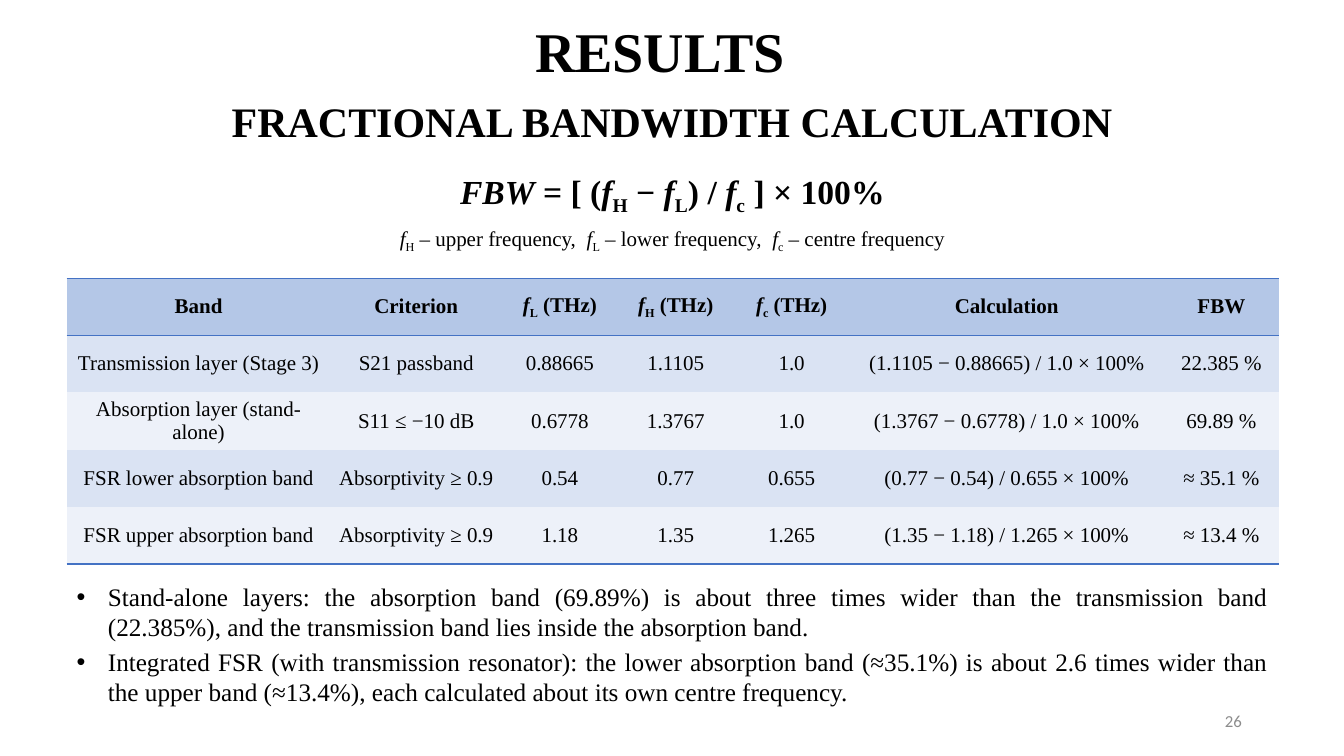
from lxml import etree
from pptx import Presentation
from pptx.dml.color import RGBColor
from pptx.enum.text import MSO_ANCHOR, MSO_AUTO_SIZE, PP_ALIGN
from pptx.oxml.ns import qn
from pptx.util import Cm, Pt

COLORS = {"text": "000000", "number": "8C8C8C", "header": "B4C7E7",
          "odd": "DAE3F3", "even": "EDF1F9", "rule": "4472C4"}
SERIF = "Times New Roman"
NO_STYLE = "{2D5ABB26-0587-4C30-8999-92F81FD0307C}"
LEFT, WIDTH = 1.68, 30.53
COLUMN_WIDTHS = [6.65, 4.32, 2.92, 2.92, 2.92, 7.92, 2.9]
ROW_HEIGHT = 1.44
ROWS = [
    ["Band", "Criterion", "~f_L~ (THz)", "~f_H~ (THz)", "~f_c~ (THz)", "Calculation", "FBW"],
    ["Transmission layer (Stage 3)", "S21 passband", "0.88665", "1.1105", "1.0",
     "(1.1105 − 0.88665) / 1.0 × 100%", "22.385 %"],
    ["Absorption layer (stand-alone)", "S11 ≤ −10 dB", "0.6778", "1.3767", "1.0",
     "(1.3767 − 0.6778) / 1.0 × 100%", "69.89 %"],
    ["FSR lower absorption band", "Absorptivity ≥ 0.9", "0.54", "0.77", "0.655",
     "(0.77 − 0.54) / 0.655 × 100%", "≈ 35.1 %"],
    ["FSR upper absorption band", "Absorptivity ≥ 0.9", "1.18", "1.35", "1.265",
     "(1.35 − 1.18) / 1.265 × 100%", "≈ 13.4 %"],
]
FINDINGS = [
    "Stand-alone layers: the absorption band (69.89%) is about three times wider than the "
    "transmission band (22.385%), and the transmission band lies inside the absorption band.",
    "Integrated FSR (with transmission resonator): the lower absorption band (≈35.1%) is about "
    "2.6 times wider than the upper band (≈13.4%), each calculated about its own centre frequency.",
]


def add_run(paragraph, text, size, bold, italic=False, subscript=False,
            font=SERIF, color="text"):
    """Append one formatted run to a paragraph."""
    run = paragraph.add_run()
    run.text = text
    run.font.name, run.font.size = font, Pt(size)
    run.font.bold, run.font.italic = bold, italic
    run.font.color.rgb = RGBColor.from_string(COLORS[color])
    if subscript:
        run.font._element.set("baseline", "-25000")


def write(paragraph, text, size, bold=False, align=PP_ALIGN.CENTER, **style):
    """Write text in which ~base_sub~ is an italic symbol with a subscript."""
    paragraph.alignment = align
    for index, part in enumerate(text.split("~")):
        is_symbol = index % 2 == 1
        base, _, sub = part.partition("_") if is_symbol else (part, "", "")
        if base:
            add_run(paragraph, base, size, bold, italic=is_symbol, **style)
        if sub:
            add_run(paragraph, sub, size, bold, subscript=True, **style)


def place(shape, left, top, width, height):
    """Set a shape's position and size in centimetres."""
    shape.left, shape.top = Cm(left), Cm(top)
    shape.width, shape.height = Cm(width), Cm(height)


def add_title(slide, text):
    """Fill and format the title placeholder."""
    title = slide.shapes.title
    place(title, 13.23, -0.48, 6.85, 3.68)
    frame = title.text_frame
    frame.auto_size = MSO_AUTO_SIZE.NONE
    frame.vertical_anchor = MSO_ANCHOR.MIDDLE
    frame.paragraphs[0].line_spacing = 0.9
    write(frame.paragraphs[0], text, 40, bold=True, align=PP_ALIGN.LEFT)


def add_text_frame(slide, left, top, width, height):
    """Add a wrapping text box and return its text frame."""
    frame = slide.shapes.add_textbox(Cm(left), Cm(top), Cm(width), Cm(height)).text_frame
    frame.word_wrap = True
    frame.auto_size = MSO_AUTO_SIZE.SHAPE_TO_FIT_TEXT
    return frame


def add_line(slide, text, box, size, **style):
    """Add a text box holding one paragraph."""
    write(add_text_frame(slide, *box).paragraphs[0], text, size, **style)


def add_page_number(slide, number):
    """Add the right-aligned page number."""
    frame = add_text_frame(slide, 23.93, 17.65, 7.62, 1.02)
    frame.auto_size = MSO_AUTO_SIZE.NONE
    frame.vertical_anchor = MSO_ANCHOR.MIDDLE
    write(frame.paragraphs[0], number, 12, align=PP_ALIGN.RIGHT,
          font="Calibri", color="number")


def add_borders(cell, sides):
    """Draw thin rules on the given sides of a cell."""
    properties = cell._tc.get_or_add_tcPr()
    for index, side in enumerate(sides):
        line = etree.Element(qn(f"a:ln{side}"), w=str(Pt(1)))
        fill = etree.SubElement(line, qn("a:solidFill"))
        etree.SubElement(fill, qn("a:srgbClr"), val=COLORS["rule"])
        properties.insert(index, line)


def format_cell(cell, text, fill, bold, sides):
    """Write a table cell with its fill and rules."""
    cell.margin_left = cell.margin_right = Cm(0.18)
    cell.margin_top = cell.margin_bottom = Cm(0.08)
    cell.vertical_anchor = MSO_ANCHOR.MIDDLE
    cell.fill.solid()
    cell.fill.fore_color.rgb = RGBColor.from_string(COLORS[fill])
    write(cell.text_frame.paragraphs[0], text, 15, bold=bold)
    add_borders(cell, sides)


def add_bandwidth_table(slide):
    """Add the table of bands and fractional bandwidths."""
    last = len(ROWS) - 1
    table = slide.shapes.add_table(len(ROWS), len(COLUMN_WIDTHS), Cm(LEFT), Cm(7.01),
                                   Cm(WIDTH), Cm(ROW_HEIGHT * len(ROWS))).table
    table._tbl.tblPr.find(qn("a:tableStyleId")).text = NO_STYLE
    for column, width in zip(table.columns, COLUMN_WIDTHS):
        column.width = Cm(width)
    for r, row in enumerate(ROWS):
        table.rows[r].height = Cm(ROW_HEIGHT)
        fill = "header" if r == 0 else "odd" if r % 2 else "even"
        sides = {0: "TB", last: "B"}.get(r, "")
        for c, text in enumerate(row):
            format_cell(table.cell(r, c), text, fill, r == 0, sides)


def add_bullets(slide, items):
    """Add the justified bullet list of findings."""
    frame = add_text_frame(slide, LEFT, 14.53, WIDTH, 3.43)
    for index, item in enumerate(items):
        paragraph = frame.add_paragraph() if index else frame.paragraphs[0]
        write(paragraph, item, 18, align=PP_ALIGN.JUSTIFY)
        paragraph.space_after = Pt(3)
        properties = paragraph._p.get_or_add_pPr()
        properties.set("marL", str(Cm(0.79)))
        properties.set("indent", str(-Cm(0.79)))
        etree.SubElement(properties, qn("a:buFont"), typeface="Arial")
        etree.SubElement(properties, qn("a:buChar"), char="•")


def main():
    """Build the fractional bandwidth slide."""
    deck = Presentation()
    deck.slide_width, deck.slide_height = Cm(33.87), Cm(19.05)
    slide = deck.slides.add_slide(deck.slide_layouts[5])
    add_page_number(slide, "26")
    add_title(slide, "RESULTS")
    add_line(slide, "FRACTIONAL BANDWIDTH CALCULATION", (4.45, 2.29, 24.99, 1.55), 30, bold=True)
    add_line(slide, "~FBW~ = [ (~f_H~ − ~f_L~) / ~f_c~ ] × 100%",
             (LEFT, 4.17, WIDTH, 1.45), 24, bold=True)
    add_line(slide, "~f_H~ – upper frequency,  ~f_L~ – lower frequency,  ~f_c~ – centre frequency",
             (LEFT, 5.56, WIDTH, 0.91), 15)
    add_bandwidth_table(slide)
    add_bullets(slide, FINDINGS)
    deck.save("out.pptx")


main()
